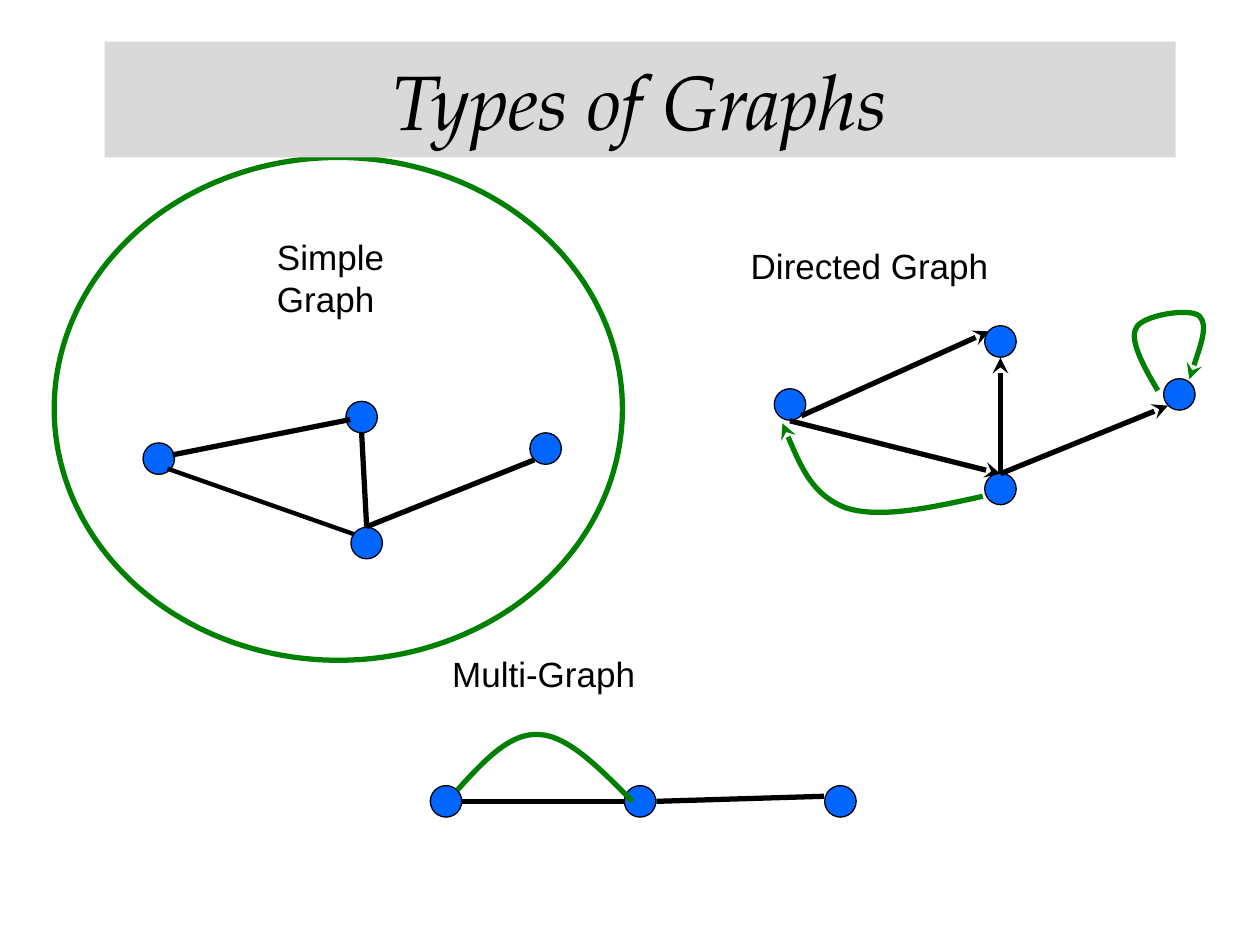
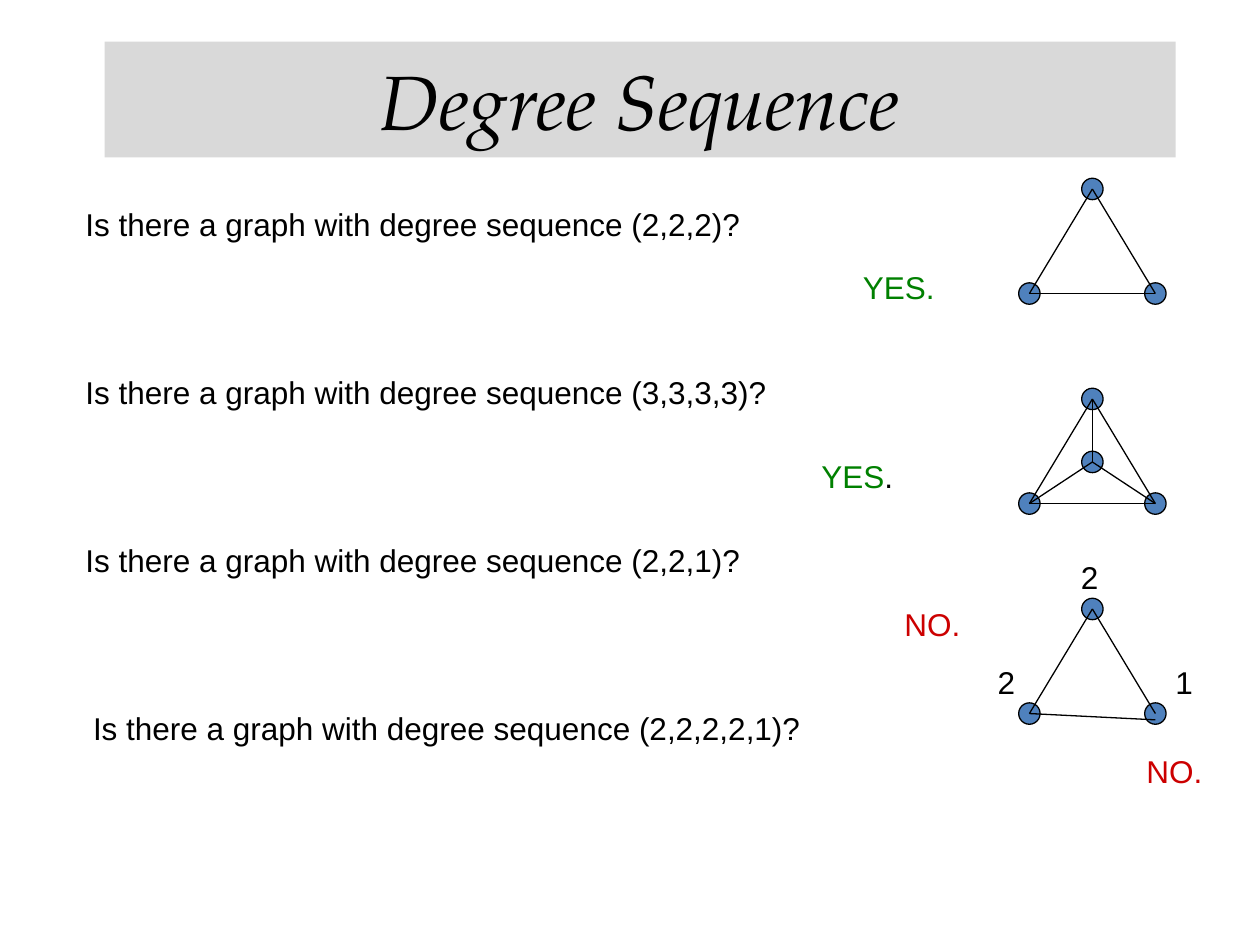
from itertools import combinations

from lxml import etree
from pptx import Presentation
from pptx.dml.color import RGBColor
from pptx.enum import shapes, text
from pptx.oxml.ns import qn
from pptx.util import Inches, Pt

COLORS = {
    "ink": "000000", "band": "D9D9D9", "node": "0066FF", "small_node": "4F81BD",
    "green": "008000", "red": "CC0000",
}
BODY_FONT = "Arial"
TITLE_FONT = "TeX Gyre Pagella"


def rgb(name):
    return RGBColor.from_string(COLORS[name])


def write(paragraph, content, size=18, color="ink", font=BODY_FONT, italic=False,
          align=text.PP_ALIGN.LEFT):
    paragraph.alignment = align
    run = paragraph.add_run()
    run.text = content
    run.font.size = Pt(size)
    run.font.name = font
    run.font.italic = italic
    run.font.color.rgb = rgb(color)


def add_label(slide, left, top, width, lines, height=0.4, **style):
    box = slide.shapes.add_textbox(Inches(left), Inches(top), Inches(width), Inches(height))
    frame = box.text_frame
    frame.word_wrap = False
    for index, line in enumerate(lines):
        paragraph = frame.add_paragraph() if index else frame.paragraphs[0]
        write(paragraph, line, **style)
    return box


def set_line(shape, color, width, arrow=False):
    shape.line.color.rgb = rgb(color)
    shape.line.width = Pt(width)
    if arrow:
        outline = shape.element.spPr.find(qn("a:ln"))
        etree.SubElement(outline, qn("a:tailEnd"), type="stealth")


def add_ellipse(slide, left, top, width, height, fill=None, line="ink", line_width=0.75):
    ellipse = slide.shapes.add_shape(
        shapes.MSO_SHAPE.OVAL, Inches(left), Inches(top), Inches(width), Inches(height))
    ellipse.shadow.inherit = False
    if fill:
        ellipse.fill.solid()
        ellipse.fill.fore_color.rgb = rgb(fill)
    else:
        ellipse.fill.background()
    set_line(ellipse, line, line_width)


def add_node(slide, x, y, diameter=0.25, fill="node"):
    add_ellipse(slide, x - diameter / 2, y - diameter / 2, diameter, diameter, fill)


def add_edge(slide, start, end, width=3, arrow=False):
    edge = slide.shapes.add_connector(
        shapes.MSO_CONNECTOR.STRAIGHT, *(Inches(value) for value in (*start, *end)))
    set_line(edge, "ink", width, arrow)
    etree.SubElement(edge.element.spPr, qn("a:effectLst"))


def add_curve(slide, points, arrow=False):
    start, *controls = [(Inches(x), Inches(y)) for x, y in points]
    builder = slide.shapes.build_freeform(*start)
    builder.add_line_segments(controls, close=False)
    curve = builder.convert_to_shape()
    segments = list(curve.element.iter(qn("a:lnTo")))
    for index in range(0, len(segments), 3):
        first, *others = segments[index:index + 3]
        first.tag = qn("a:cubicBezTo")
        for other in others:
            first.append(other[0])
            other.getparent().remove(other)
    curve.fill.background()
    curve.shadow.inherit = False
    set_line(curve, "green", 3, arrow)


def shift(points, left, top):
    return [(left + x, top + y) for x, y in points]


def add_network(slide, left, top, nodes, edges, curves=(), arrow=False):
    for x, y in shift(nodes, left, top):
        add_node(slide, x, y)
    for start, end in edges:
        add_edge(slide, *shift((start, end), left, top), arrow=arrow)
    for points in curves:
        add_curve(slide, shift(points, left, top), arrow)


def add_title(slide, content):
    title = slide.shapes.title
    title.left, title.top, title.width, title.height = map(Inches, (0.83, 0.33, 8.5, 0.92))
    title.fill.solid()
    title.fill.fore_color.rgb = rgb("band")
    title.text_frame.vertical_anchor = text.MSO_ANCHOR.MIDDLE
    write(title.text_frame.paragraphs[0], content, size=44, font=TITLE_FONT, italic=True,
          align=text.PP_ALIGN.CENTER)
    title.element.getparent().append(title.element)


def add_directed_graph(slide, left, top):
    add_label(slide, left, top, 2.1, ["Directed Graph"], height=0.44, size=20)
    hub = (2.08, 1.87)
    add_network(
        slide, left, top,
        nodes=[(0.41, 1.32), (2.08, 0.82), (3.5, 1.24), (2.08, 1.99)],
        edges=[((0.5, 1.41), (1.99, 0.74)), ((0.41, 1.45), hub),
               (hub, (2.08, 0.95)), (hub, (3.41, 1.33))],
        curves=[
            [(3.33, 1.21), (3.21, 1.01), (3.1, 0.8), (3.16, 0.71), (3.21, 0.61),
             (3.59, 0.55), (3.66, 0.62), (3.73, 0.69), (3.65, 0.91), (3.58, 1.12)],
            [(1.94, 2.05), (1.53, 2.14), (1.12, 2.23), (0.85, 2.14), (0.59, 2.04),
             (0.47, 1.76), (0.35, 1.47)],
        ],
        arrow=True)


def add_multi_graph(slide, left, top):
    add_label(slide, left + 0.07, top, 1.67, ["Multi-Graph"], height=0.44, size=20)
    add_network(
        slide, left, top,
        nodes=[(0.12, 1.23), (1.66, 1.23), (3.25, 1.23)],
        edges=[((0.25, 1.23), (1.54, 1.23)), ((3.12, 1.19), (1.79, 1.23))],
        curves=[[(0.21, 1.14), (0.42, 0.91), (0.63, 0.68), (0.86, 0.7), (1.09, 0.71),
                 (1.34, 0.97), (1.6, 1.23)]])


def add_simple_graph(slide, left, top):
    add_label(slide, left + 1.67, top + 0.57, 1.07, ["Simple", "Graph"], height=0.77, size=20)
    hub = (2.48, 2.93)
    add_network(
        slide, left, top,
        nodes=[(0.83, 2.39), (2.44, 2.06), (3.9, 2.31), (2.48, 3.06)],
        edges=[(hub, (2.44, 2.18)), (hub, (3.81, 2.4)), ((0.94, 2.36), (2.35, 2.08))])
    add_edge(slide, *shift([(0.9, 2.47), (2.38, 2.99)], left, top), width=2.5)
    add_ellipse(slide, left, top, 4.51, 3.99, line="green", line_width=3)


def add_triangle(slide, left, top, centered=False, end_drop=0):
    corners = shift([(0.5, 0), (1, 0.83), (0, 0.83)], left, top)
    if centered:
        corners += shift([(0.5, 0.5)], left, top)
    for x, y in corners:
        add_node(slide, x, y, diameter=0.17, fill="small_node")
    for start, end in combinations(corners, 2):
        if (start, end) == (corners[1], corners[2]):
            start = (start[0], start[1] + end_drop)
        add_edge(slide, start, end, width=0.75)


def add_questions(slide, left, top):
    questions = [("2,2,2", 0, 5.45), ("3,3,3,3", 0, 5.66),
                 ("2,2,1", 0, 5.66), ("2,2,2,2,1", 0.06, 5.87)]
    for index, (sequence, indent, width) in enumerate(questions):
        add_label(slide, left + indent, top + index * 4 / 3, width,
                  [f"Is there a graph with degree sequence ({sequence})?"])


def add_answers(slide, left, top):
    add_label(slide, left + 0.33, top, 0.78, ["YES."], color="green")
    mixed = add_label(slide, left, top + 1.5, 0.78, ["YES"], color="green")
    write(mixed.text_frame.paragraphs[0], ".")
    for x, y in [(0.66, 2.67), (2.58, 3.84)]:
        add_label(slide, left + x, top + y, 0.66, ["NO."], color="red")


def add_example_graphs(slide, left, top):
    variants = [{}, {"centered": True}, {"end_drop": 0.05}]
    for index, variant in enumerate(variants):
        add_triangle(slide, left, top + index * 5 / 3, **variant)
    for degree, x, y in [("2", 0.31, 2.88), ("1", 1.06, 3.71), ("2", -0.35, 3.71)]:
        add_label(slide, left + x, top + y, 0.35, [degree])


def build_graph_types(slide):
    add_directed_graph(slide, 5.86, 1.89)
    add_multi_graph(slide, 3.42, 5.13)
    add_simple_graph(slide, 0.43, 1.25)
    add_title(slide, "Types of Graphs")


def build_degree_sequence(slide):
    add_questions(slide, 0.58, 1.58)
    add_answers(slide, 6.42, 2.08)
    add_example_graphs(slide, 8.17, 1.5)
    add_title(slide, "Degree Sequence")


def main():
    presentation = Presentation()
    presentation.slide_width = Inches(10)
    presentation.slide_height = Inches(7.5)
    title_only = presentation.slide_layouts[5]
    for build in (build_graph_types, build_degree_sequence):
        build(presentation.slides.add_slide(title_only))
    presentation.save("out.pptx")


if __name__ == "__main__":
    main()
